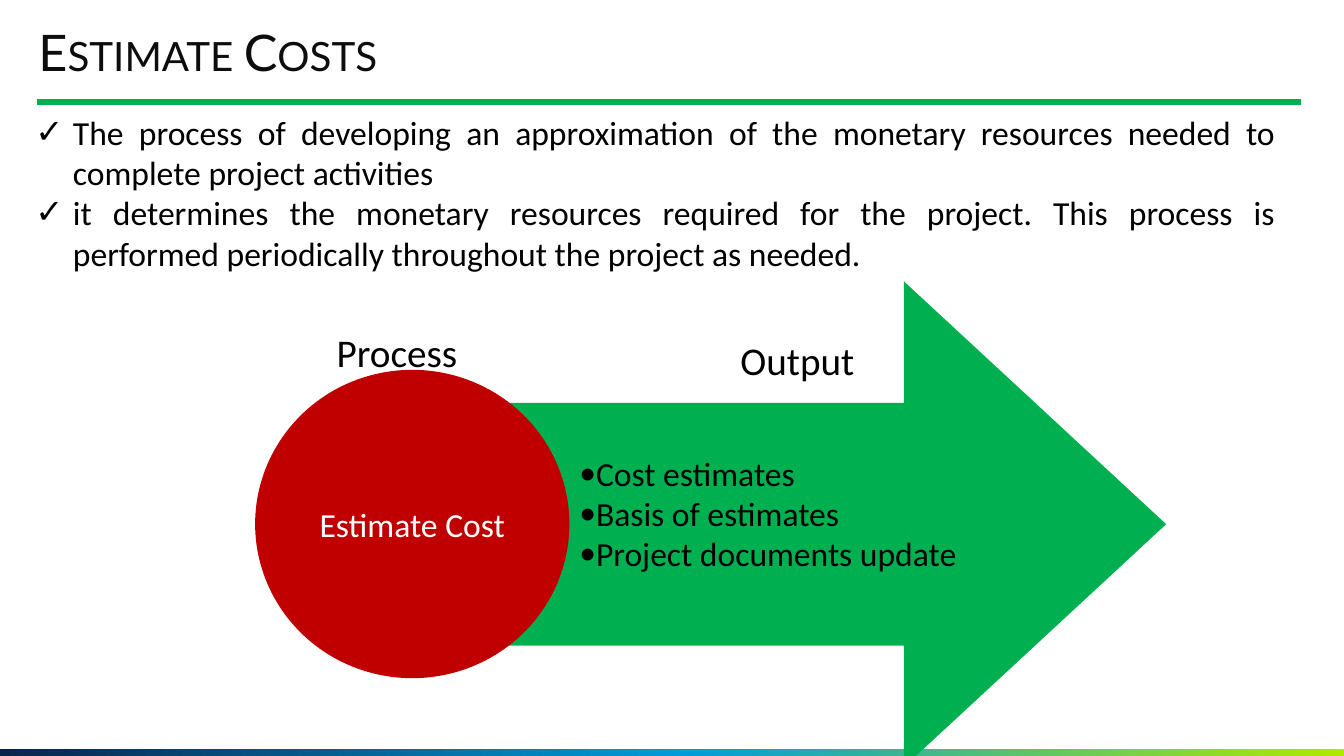
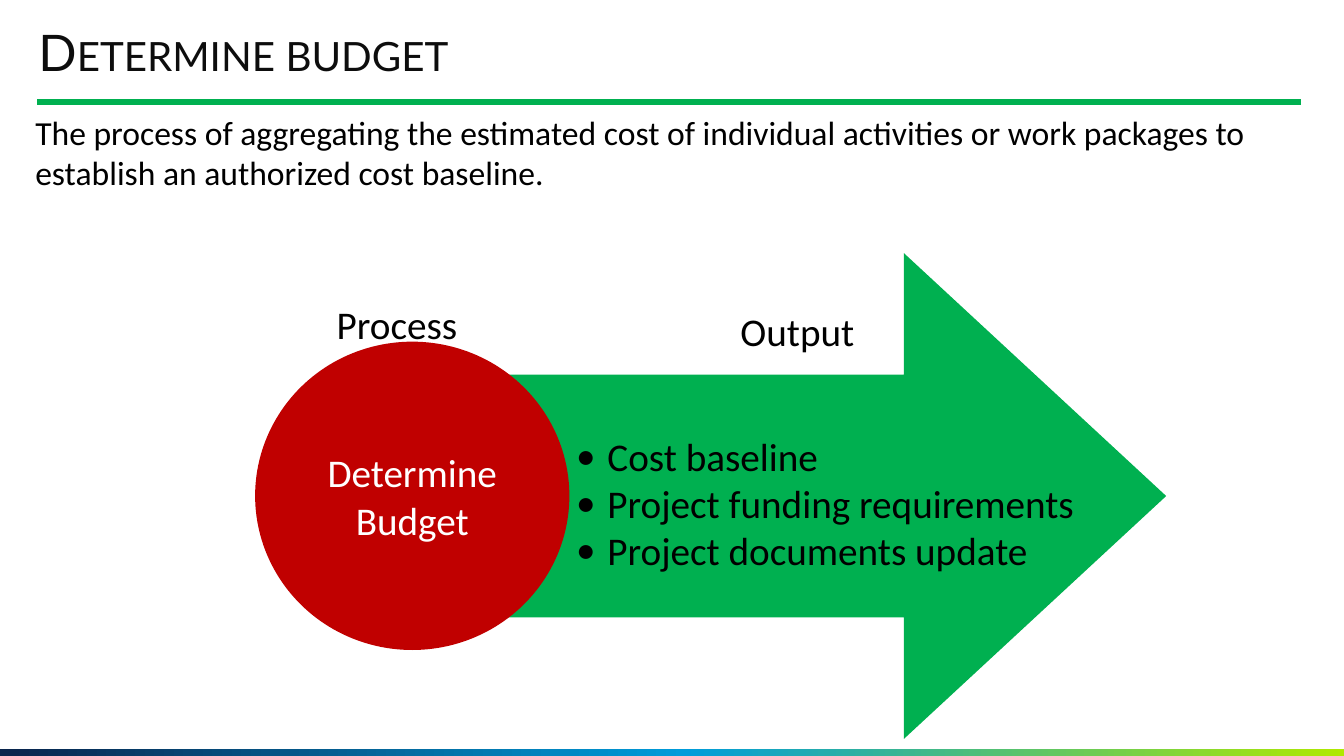
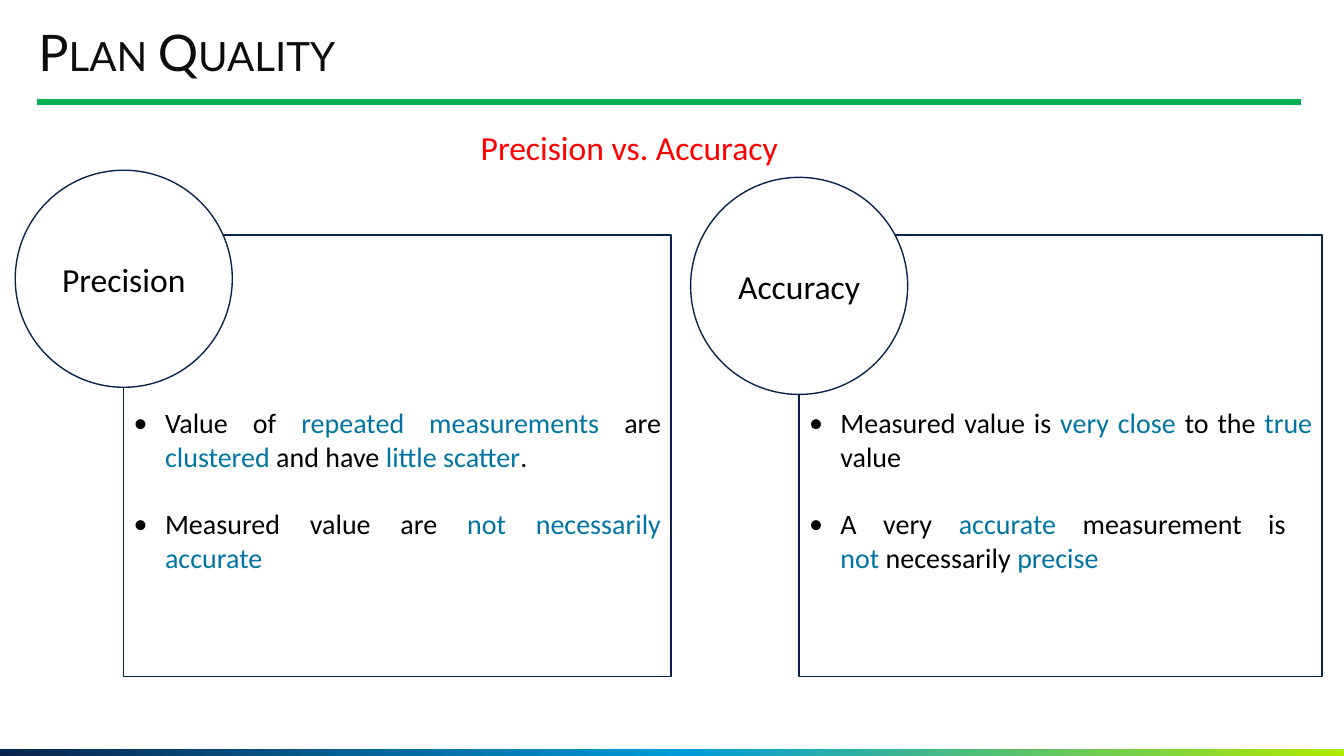
from copy import deepcopy
from dataclasses import dataclass

from lxml import etree
from pptx import Presentation
from pptx.dml.color import RGBColor
from pptx.enum.shapes import MSO_CONNECTOR, MSO_SHAPE
from pptx.enum.text import MSO_ANCHOR, MSO_AUTO_SIZE, PP_ALIGN
from pptx.oxml.ns import qn
from pptx.util import Cm, Pt

RECT, OVAL, ARROW = MSO_SHAPE.RECTANGLE, MSO_SHAPE.OVAL, MSO_SHAPE.RIGHT_ARROW
STRAIGHT = MSO_CONNECTOR.STRAIGHT
LEFT, CENTER, JUSTIFY = PP_ALIGN.LEFT, PP_ALIGN.CENTER, PP_ALIGN.JUSTIFY
MIDDLE = MSO_ANCHOR.MIDDLE
GROW, FIXED = MSO_AUTO_SIZE.SHAPE_TO_FIT_TEXT, MSO_AUTO_SIZE.NONE


@dataclass(frozen=True)
class Theme:
    """Colours, fonts and type sizes of the deck."""
    text: str = "000000"
    title: str = "0D0D0D"
    white: str = "FFFFFF"
    green: str = "00B050"
    process: str = "C00000"
    heading: str = "FF0000"
    accent: str = "0075A3"
    navy: str = "09244C"
    band: tuple = ((0, "09244C"), (0.51, "009CDA"), (1, "B0E900"))
    font: str = "Calibri"
    title_font: str = "Lato"
    title_size: int = 36
    large: int = 28
    body: int = 24
    small: int = 20


T = Theme()


def rgb(color):
    """Turn a hex string into a colour."""
    return RGBColor.from_string(color)


def accent(text):
    """Mark a run as highlighted."""
    return text, T.accent


class Deck:
    """Holds the presentation, its style and the current slide."""

    def __init__(self):
        """Open a blank wide presentation."""
        self.prs = Presentation()
        self.prs.slide_width, self.prs.slide_height = Cm(33.87), Cm(19.05)
        self.s = None

    def slide(self, title):
        """Start a slide with its title, rule and gradient band."""
        self.s = self.prs.slides.add_slide(self.prs.slide_layouts[5])
        self.band()
        self.rule()
        sp = self.s.shapes.title
        sp.left, sp.top, sp.width, sp.height = Cm(0.97), Cm(0.69), Cm(28.42), Cm(1.4)
        tf = sp.text_frame
        tf.margin_left = tf.margin_right = tf.margin_top = tf.margin_bottom = 0
        tf.auto_size = FIXED
        self.add_text(tf, [title], T.title_size, T.title, font=T.title_font)
        p = tf.paragraphs[0]
        p.line_spacing = 0.9
        p.runs[0].font._element.set("cap", "small")

    def band(self):
        """Draw the gradient strip along the bottom."""
        sp = self.shape(RECT, 0, 18.87, 33.87, 0.18, T.navy)
        sp.fill.gradient()
        sp.fill.gradient_angle = 0
        stops = sp._element.spPr.find(".//" + qn("a:gsLst"))
        stops.append(deepcopy(stops[0]))
        for stop, (position, color) in zip(sp.fill.gradient_stops, T.band):
            stop.position = position
            stop.color.rgb = rgb(color)

    def rule(self):
        """Draw the line under the title."""
        line = self.s.shapes.add_connector(STRAIGHT, Cm(0.94), Cm(2.57), Cm(32.79), Cm(2.57))
        line.line.color.rgb = rgb(T.green)
        line.line.width = Pt(4.5)
        etree.SubElement(line._element.spPr, qn("a:effectLst"))

    def shape(self, kind, x, y, w, h, fill, line=None):
        """Add a flat preset shape."""
        sp = self.s.shapes.add_shape(kind, Cm(x), Cm(y), Cm(w), Cm(h))
        sp.shadow.inherit = False
        sp.fill.solid()
        sp.fill.fore_color.rgb = rgb(fill)
        if line:
            sp.line.color.rgb = rgb(line)
            sp.line.width = Pt(1)
        else:
            sp.line.fill.background()
        sp.text_frame.word_wrap = True
        sp.text_frame.vertical_anchor = MIDDLE
        return sp

    def text(self, x, y, w, h, paragraphs, size=T.body, color=T.text, **style):
        """Add a wrapping text box."""
        tf = self.s.shapes.add_textbox(Cm(x), Cm(y), Cm(w), Cm(h)).text_frame
        tf.word_wrap = True
        tf.auto_size = GROW
        self.add_text(tf, paragraphs, size, color, **style)

    def add_text(self, tf, paragraphs, size, color, align=LEFT, bullet=None,
                 indent=0.79, gap=0, font=T.font):
        """Fill a text frame; a paragraph is a string or a list of runs."""
        for i, runs in enumerate(paragraphs):
            p = tf.add_paragraph() if i else tf.paragraphs[0]
            p.alignment = align
            if bullet:
                self.bullet(p, bullet, indent)
            if i and gap:
                p.space_before = Pt(gap)
            for run in [runs] if isinstance(runs, str) else runs:
                if run == "\n":
                    p.add_line_break()
                    continue
                words, tint = (run, color) if isinstance(run, str) else run
                r = p.add_run()
                r.text = words
                r.font.name, r.font.size = font, Pt(size)
                r.font.color.rgb = rgb(tint)

    def bullet(self, p, char, indent):
        """Give a paragraph a hanging bullet."""
        pPr = p._p.get_or_add_pPr()
        pPr.set("marL", str(Cm(indent)))
        pPr.set("indent", str(-Cm(indent)))
        etree.SubElement(pPr, qn("a:buFont"), typeface=T.font)
        etree.SubElement(pPr, qn("a:buChar"), char=char)

    def process(self, y, name, size):
        """Draw the process circle with its output arrow and labels."""
        arrow = self.shape(ARROW, 12.22, y, 17.17, 12.24, T.green)
        arrow.adjustments[0], arrow.adjustments[1] = 0.5, 0.54
        circle = self.shape(OVAL, 6.43, y + 2.23, 7.92, 7.77, T.process)
        self.add_text(circle.text_frame, [name], size, T.white, align=CENTER)
        for x, drop, label in ((7.82, 1.06, "Process"), (17.91, 1.25, "Output")):
            self.text(x, y + drop, 4.37, 1.45, [label], T.large, align=CENTER)

    def panel(self, x, w, circle_y, name, points):
        """Draw a framed list with a named circle on its left edge."""
        frame = self.shape(RECT, x, 5.92, w, 11.13, T.white, T.navy)
        frame.text_frame.margin_top = Cm(1.85)
        self.add_text(frame.text_frame, points, T.small, T.text,
                      align=JUSTIFY, bullet="•", gap=24)
        size = 5.47
        circle = self.shape(OVAL, x - size / 2, circle_y, size, size, T.white, T.navy)
        self.add_text(circle.text_frame, [name], T.body, T.text, align=CENTER)


def main():
    """Build the three slides."""
    d = Deck()

    d.slide("Estimate Costs")
    d.text(0.64, 2.69, 31.75, 4.37, [
        "The process of developing an approximation of the monetary resources "
        "needed to complete project activities",
        "it determines the monetary resources required for the project. This "
        "process is performed periodically throughout the project as needed.",
    ], align=JUSTIFY, bullet="✓", indent=0.95)
    d.process(7.09, "Estimate Cost", T.body)
    d.text(14.35, 11.28, 14.17, 3.33,
           ["Cost estimates", "Basis of estimates", "Project documents update"],
           bullet="•", indent=0.42)

    d.slide("Determine budget")
    d.text(0.64, 2.69, 31.75, 2.31, [
        "The process of aggregating the estimated cost of individual activities "
        "or work packages to establish an authorized cost baseline."])
    d.process(6.38, "Determine Budget", T.large)
    d.text(14.27, 10.77, 14.17, 3.84,
           ["Cost baseline", "Project funding requirements", "Project documents update"],
           T.large, bullet="•")

    d.slide("Plan Quality")
    d.text(7.39, 3.07, 16.94, 1.27, ["Precision vs. Accuracy"],
           color=T.heading, align=CENTER)
    d.panel(3.12, 13.79, 4.29, "Precision", [
        ["Value of ", accent("repeated measurements "), "are ", accent("clustered"),
         " and have ", accent("little scatter"), "."],
        ["Measured value are ", accent("not necessarily accurate")],
    ])
    d.panel(20.14, 13.18, 4.47, "Accuracy", [
        ["Measured value is ", accent("very close "), "to the ", accent("true"), " value"],
        ["A very ", accent("accurate"), " measurement is ", "\n", accent("not"),
         " necessarily ", accent("precise")],
    ])

    d.prs.save("out.pptx")


if __name__ == "__main__":
    main()
